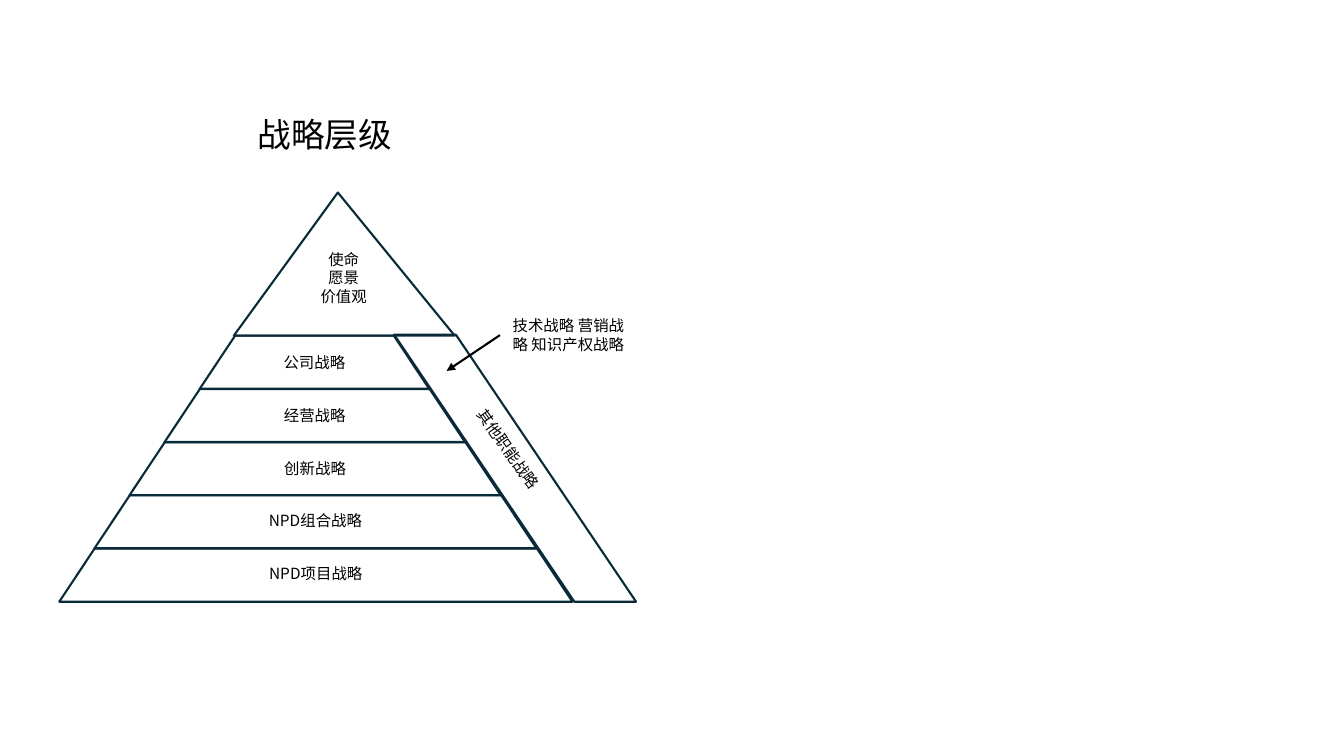
"""Build a slide with a pyramid of strategy levels."""
import pptx
import pptx.util
import pptx.dml.color
import pptx.enum.shapes
import pptx.enum.text
import pptx.oxml
import pptx.oxml.ns

SHAPE = pptx.enum.shapes.MSO_SHAPE
ANCHOR = pptx.enum.text.MSO_ANCHOR
THEME = {
    "font": "Noto Sans CJK SC",
    "ink": pptx.dml.color.RGBColor.from_string("000000"),
    "outline": pptx.dml.color.RGBColor.from_string("092A39"),
    "title": pptx.util.Pt(24),
    "body": pptx.util.Pt(11),
    "line": pptx.util.Pt(1.5),
}

deck = pptx.Presentation()
deck.slide_width = pptx.util.Inches(13.33)
deck.slide_height = pptx.util.Inches(7.5)
page = deck.slides.add_slide(deck.slide_layouts[6])
column = deck.slide_width / 100
row = deck.slide_height / 100


def write(box, lines, size, frame_format):
    """Fill a box with centred lines of text."""
    frame = box.text_frame
    for name, value in {"word_wrap": True, **frame_format}.items():
        setattr(frame, name, value)
    for index, line in enumerate(lines):
        para = frame.add_paragraph() if index else frame.paragraphs[0]
        para.alignment = pptx.enum.text.PP_ALIGN.CENTER
        span = para.add_run()
        span.text = line
        span.font.size = size
        span.font.name = THEME["font"]
        span.font.color.rgb = THEME["ink"]
        east_asian = pptx.oxml.parse_xml(f'<a:ea {pptx.oxml.ns.nsdecls("a")} typeface="{THEME["font"]}"/>')
        span.font._element.find(pptx.oxml.ns.qn("a:latin")).addnext(east_asian)


def add_outline(kind, place, adjustment, outlined=True):
    """Add an unfilled shape at a place given in columns and rows."""
    left, top, width, height = place
    shape = page.shapes.add_shape(
        kind, round(left * column), round(top * row), round(width * column), round(height * row))
    shape.adjustments[0] = adjustment
    shape.shadow.inherit = False
    shape.fill.background()
    if outlined:
        shape.line.color.rgb = THEME["outline"]
        shape.line.width = THEME["line"]
    else:
        shape.line.fill.background()
    return shape


title = add_outline(SHAPE.ROUNDED_RECTANGLE, (6, 13.6, 34.13, 8.13), 0, outlined=False)
write(title, ["战略层级"], THEME["title"],
      {"vertical_anchor": ANCHOR.MIDDLE, "margin_left": pptx.util.Inches(0.39)})

add_outline(SHAPE.ISOSCELES_TRIANGLE, (17.4, 25.47, 16.43, 18.93), 0.471)

tier_format = {"vertical_anchor": ANCHOR.MIDDLE, "margin_left": 0, "margin_right": 0, "margin_top": 0}
tiers = ["公司战略", "经营战略", "创新战略", "NPD组合战略", "NPD项目战略"]
for level, name in enumerate(tiers):
    place = (14.85 - 2.61 * level, 44.4 + 7.03 * level, 17.1 + 5.27 * level, 7.07)
    tier = add_outline(SHAPE.TRAPEZOID, place, 0.665)
    write(tier, [name], THEME["body"], tier_format)

side = add_outline(SHAPE.PARALLELOGRAM, (29.33, 44.27, 18, 35.33), 0.745)
side._element.spPr.find(pptx.oxml.ns.qn("a:xfrm")).set("flipH", "1")

labels = [
    (["使命", "愿景", "价值观"], (19.2, 32.4, 12.75, 12), 0),
    (["其他职能战略"], (31.13, 57.2, 12.75, 5.2), 54.7),
    (["技术战略 营销战略 知识产权战略"], (37.2, 41.2, 10.2, 6.27), 0),
]
label_format = {"auto_size": pptx.enum.text.MSO_AUTO_SIZE.SHAPE_TO_FIT_TEXT}
for lines, (left, top, width, height), angle in labels:
    label = page.shapes.add_textbox(
        round(left * column), round(top * row), round(width * column), round(height * row))
    label.rotation = angle
    write(label, lines, THEME["body"], label_format)

arrow = page.shapes.add_connector(
    pptx.enum.shapes.MSO_CONNECTOR.STRAIGHT,
    round(37.2 * column), round(44.27 * row), round(33.23 * column), round(49.07 * row))
arrow.begin_connect(label, 1)
arrow.line.color.rgb = THEME["ink"]
arrow.line.width = THEME["line"]
for parent, tag in [(arrow.line._get_or_add_ln(), 'tailEnd type="triangle"'),
                    (arrow._element.spPr, "effectLst")]:
    name, _, attributes = tag.partition(" ")
    parent.append(pptx.oxml.parse_xml(f'<a:{name} {pptx.oxml.ns.nsdecls("a")} {attributes}/>'))

deck.save("out.pptx")
